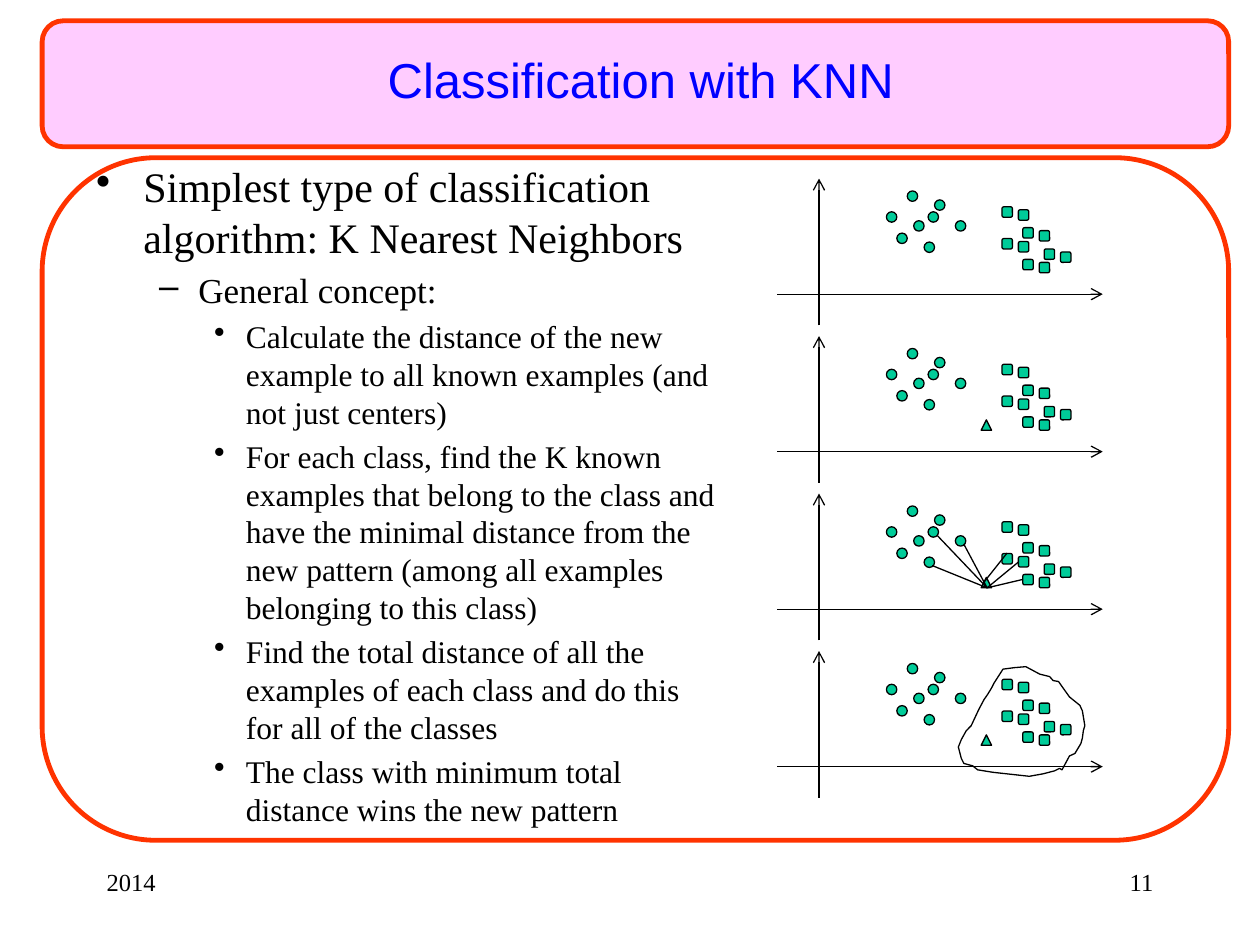
from typing import NamedTuple

from lxml import etree
from pptx import Presentation
from pptx.dml.color import RGBColor
from pptx.enum.shapes import MSO_CONNECTOR, MSO_SHAPE
from pptx.enum.text import MSO_ANCHOR, PP_ALIGN
from pptx.oxml.ns import qn
from pptx.util import Cm, Pt

ROUNDED = MSO_SHAPE.ROUNDED_RECTANGLE
CIRCLE = MSO_SHAPE.OVAL
TRIANGLE = MSO_SHAPE.ISOSCELES_TRIANGLE
STRAIGHT = MSO_CONNECTOR.STRAIGHT
TOP, MIDDLE = MSO_ANCHOR.TOP, MSO_ANCHOR.MIDDLE
LEFT, CENTER, RIGHT = PP_ALIGN.LEFT, PP_ALIGN.CENTER, PP_ALIGN.RIGHT

BLACK = RGBColor(0x00, 0x00, 0x00)
BLUE = RGBColor(0x00, 0x00, 0xFF)
PINK = RGBColor(0xFF, 0xCC, 0xFF)
RED = RGBColor(0xFF, 0x33, 0x00)
GREEN = RGBColor(0x00, 0xCC, 0x99)

SERIF, SANS = "Times New Roman", "Arial"
THIN, THICK = 0.75, 2.75
MARKER_SIZE = 0.21
PANEL_COUNT = 4
PANEL_PITCH = 12.7 / PANEL_COUNT


class Point(NamedTuple):
    x: float
    y: float


class Box(NamedTuple):
    left: float
    top: float
    width: float
    height: float


class Level(NamedTuple):
    bullet: str
    margin: float
    hanging: float
    size: float


class Item(NamedTuple):
    level: int
    text: str


class Cluster(NamedTuple):
    kind: int
    origins: tuple[Point, ...]
    offsets: tuple[Point, ...]


LEVELS = (
    Level("•", 0.95, 0.95, 24),
    Level("–", 2.06, 0.79, 20),
    Level("•", 3.02, 0.64, 18),
)
ITEMS = (
    Item(0, "Simplest type of classification algorithm: K Nearest Neighbors"),
    Item(1, "General concept:"),
    Item(2, "Calculate the distance of the new example to all known examples "
            "(and not just centers)"),
    Item(2, "For each class, find the K known examples that belong to the class "
            "and have the minimal distance from the new pattern (among all "
            "examples belonging to this class)"),
    Item(2, "Find the total distance of all the examples of each class and do "
            "this for all of the classes"),
    Item(2, "The class with minimum total distance wins the new pattern"),
)
CLUSTERS = (
    Cluster(CIRCLE, (Point(18.29, 3.85), Point(18.84, 4.03)),
            (Point(0, 0), Point(-0.42, 0.42), Point(0.42, 0.42), Point(-0.21, 0.85))),
    Cluster(ROUNDED, (Point(20.53, 4.23), Point(20.2, 4.17)),
            (Point(0, 0), Point(0.42, 0.42), Point(0.85, 0.85),
             Point(0, 0.64), Point(0.42, 1.06))),
)
NEW_EXAMPLE = Point(19.78, 5.29)
NEW_EXAMPLE_BASE = Point(19.9, 11.85)
DISTANCES = (
    (NEW_EXAMPLE_BASE, Point(20.62, 11.68)),
    (NEW_EXAMPLE_BASE, Point(20.53, 11.33)),
    (Point(19.84, 11.73), Point(20.3, 11.15)),
    (NEW_EXAMPLE_BASE, Point(19.43, 10.97)),
    (NEW_EXAMPLE_BASE, Point(18.79, 11.4)),
    (NEW_EXAMPLE_BASE, Point(18.9, 10.8)),
)
WINNING_CLASS_OUTLINE = (
    (21.41, 15.52), (21.56, 15.24), (21.67, 15.19), (21.79, 14.99), (21.82, 14.88),
    (21.84, 14.73), (21.87, 14.63), (21.82, 14.33), (21.77, 14.22), (21.56, 14.05),
    (21.41, 13.84), (21.34, 13.74), (21.23, 13.72), (21.16, 13.64), (20.96, 13.59),
    (20.68, 13.44), (20.45, 13.46), (20.22, 13.49), (20.04, 13.77), (19.99, 13.87),
    (19.91, 14), (19.84, 14.1), (19.76, 14.25), (19.71, 14.35), (19.58, 14.63),
    (19.48, 14.73), (19.38, 14.91), (19.32, 15.06), (19.38, 15.29), (19.43, 15.39),
    (19.61, 15.44), (19.71, 15.52), (20.02, 15.57), (20.75, 15.65), (21.03, 15.6),
    (21.26, 15.54), (21.36, 15.49),
)


def style_shape(shape, fill: RGBColor | None, line: RGBColor, width: float) -> None:
    shape.shadow.inherit = False
    if fill is None:
        shape.fill.background()
    else:
        shape.fill.solid()
        shape.fill.fore_color.rgb = fill
    shape.line.color.rgb = line
    shape.line.width = Pt(width)


def add_preset(slide, kind: int, box: Box, fill: RGBColor | None,
               line: RGBColor = BLACK, width: float = THIN) -> None:
    shape = slide.shapes.add_shape(kind, *map(Cm, box))
    style_shape(shape, fill, line, width)


def add_marker(slide, kind: int, x: float, y: float) -> None:
    add_preset(slide, kind, Box(x, y, MARKER_SIZE, MARKER_SIZE), GREEN)


def add_line(slide, start: Point, end: Point, arrow: bool = False) -> None:
    connector = slide.shapes.add_connector(STRAIGHT, *map(Cm, (*start, *end)))
    connector.line.color.rgb = BLACK
    connector.line.width = Pt(THIN)
    if arrow:
        etree.SubElement(connector.line._get_or_add_ln(), qn("a:tailEnd"), type="arrow")
    etree.SubElement(connector._element.spPr, qn("a:effectLst"))


def add_text_frame(slide, box: Box, anchor: int = TOP):
    frame = slide.shapes.add_textbox(*map(Cm, box)).text_frame
    frame.word_wrap = True
    frame.vertical_anchor = anchor
    return frame


def set_font(paragraph, name: str, size: float, color: RGBColor) -> None:
    paragraph.font.name = name
    paragraph.font.size = Pt(size)
    paragraph.font.color.rgb = color


def add_label(slide, box: Box, text: str, alignment: int, name: str = SERIF,
              size: float = 14, color: RGBColor = BLACK, anchor: int = TOP) -> None:
    paragraph = add_text_frame(slide, box, anchor).paragraphs[0]
    paragraph.text = text
    paragraph.alignment = alignment
    set_font(paragraph, name, size, color)


def add_outline(slide, box: Box, items: tuple[Item, ...]) -> None:
    frame = add_text_frame(slide, box)
    for index, item in enumerate(items):
        level = LEVELS[item.level]
        paragraph = frame.add_paragraph() if index else frame.paragraphs[0]
        paragraph.text = item.text
        paragraph.level = item.level
        properties = paragraph._p.get_or_add_pPr()
        properties.set("marL", str(Cm(level.margin)))
        properties.set("indent", str(-Cm(level.hanging)))
        etree.SubElement(properties, qn("a:buChar"), char=level.bullet)
        if index:
            paragraph.space_before = Pt(level.size * 0.2)
        set_font(paragraph, SERIF, level.size, BLACK)


def add_panel(slide, index: int) -> None:
    shift = index * PANEL_PITCH
    add_line(slide, Point(16.51, 6.56 + shift), Point(16.51, 3.6 + shift), arrow=True)
    add_line(slide, Point(15.67, 5.93 + shift), Point(22.23, 5.93 + shift), arrow=True)
    for cluster in CLUSTERS:
        for origin in cluster.origins:
            for offset in cluster.offsets:
                add_marker(slide, cluster.kind, origin.x + offset.x,
                           origin.y + offset.y + shift)
    if index:
        add_marker(slide, TRIANGLE, NEW_EXAMPLE.x, NEW_EXAMPLE.y + shift)


def add_closed_curve(slide, points: tuple[tuple[float, float], ...]) -> None:
    start, *rest = [(Cm(x), Cm(y)) for x, y in points]
    builder = slide.shapes.build_freeform(*start)
    builder.add_line_segments(rest, close=True)
    style_shape(builder.convert_to_shape(), None, BLACK, THIN)


def main() -> None:
    presentation = Presentation()
    presentation.slide_width, presentation.slide_height = Cm(25.4), Cm(19.05)
    slide = presentation.slides.add_slide(presentation.slide_layouts[6])
    add_label(slide, Box(1.9, 17.35, 5.29, 1.27), "2014", LEFT)
    add_label(slide, Box(18.21, 17.35, 5.29, 1.27), "11", RIGHT)
    add_preset(slide, ROUNDED, Box(0.85, 0.42, 23.92, 2.54), PINK, RED, THICK)
    add_preset(slide, ROUNDED, Box(0.85, 3.18, 23.92, 13.76), None, RED, THICK)
    add_label(slide, Box(2.12, 0.64, 21.59, 1.9), "Classification with KNN", CENTER,
              SANS, 28, BLUE, MIDDLE)
    add_outline(slide, Box(1.69, 3.12, 13.13, 12.5), ITEMS)
    for index in range(PANEL_COUNT):
        add_panel(slide, index)
    for start, end in DISTANCES:
        add_line(slide, start, end)
    add_closed_curve(slide, WINNING_CLASS_OUTLINE)
    presentation.save("out.pptx")


if __name__ == "__main__":
    main()
